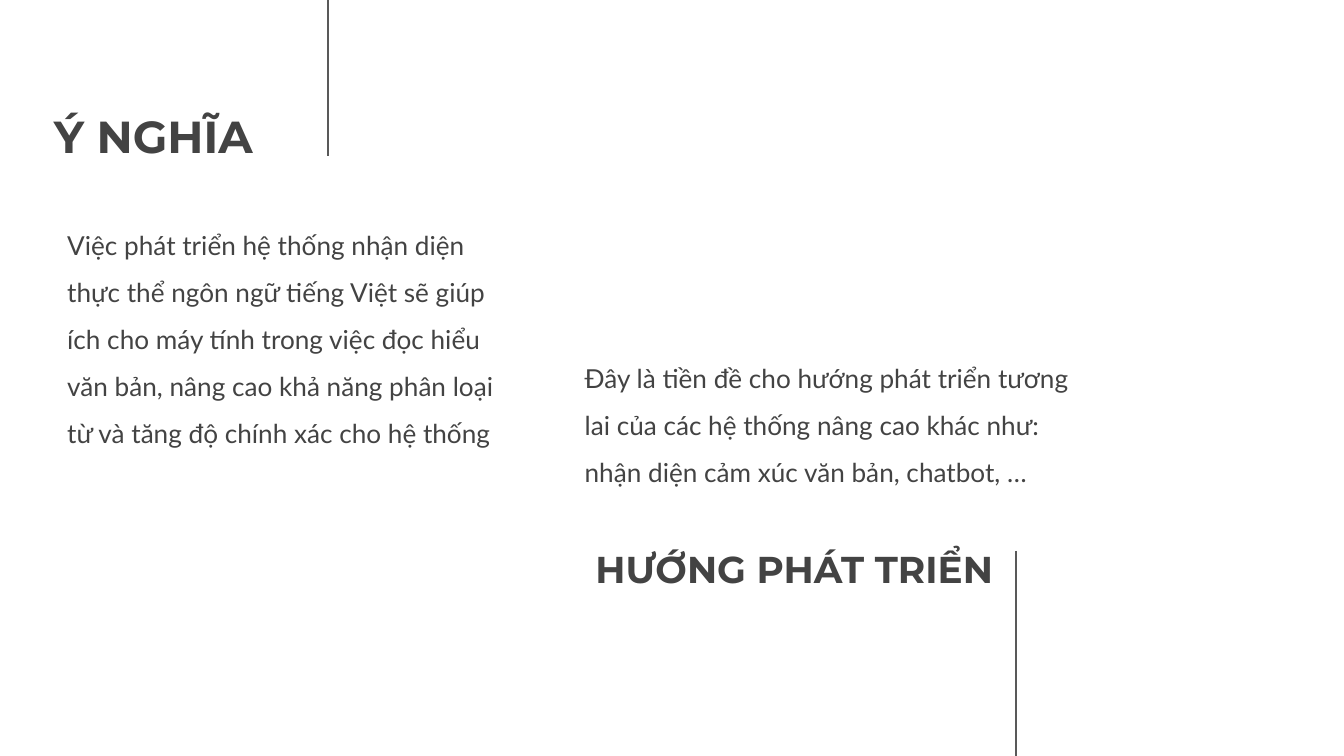
from lxml import etree
from pptx import Presentation
from pptx.dml.color import RGBColor
from pptx.enum.shapes import MSO_CONNECTOR
from pptx.enum.text import MSO_ANCHOR, MSO_AUTO_SIZE, PP_ALIGN
from pptx.oxml.ns import qn
from pptx.util import Inches, Pt

COLORS = {"text": "434343", "rule": "595959"}
LEFT, RIGHT = PP_ALIGN.LEFT, PP_ALIGN.RIGHT
TOP, BOTTOM = MSO_ANCHOR.TOP, MSO_ANCHOR.BOTTOM
NO_FIT = MSO_AUTO_SIZE.NONE
STRAIGHT = MSO_CONNECTOR.STRAIGHT
COMPARISON_LAYOUT = 4
WIDTH = 10
HEIGHT = WIDTH * 9 / 16


def fill_placeholder(holder, box, text, font, size, anchor, align, indent=0):
    """Place a placeholder in its box and set one unbulleted paragraph."""
    holder.left, holder.top, holder.width, holder.height = map(Inches, box)
    frame = holder.text_frame
    frame.word_wrap = True
    frame.auto_size = NO_FIT
    frame.vertical_anchor = anchor
    frame.margin_left = frame.margin_right = Inches(0.1)
    frame.margin_top = frame.margin_bottom = Inches(0.1)
    frame.text = text
    para = frame.paragraphs[0]
    properties = para._p.get_or_add_pPr()
    properties.set("marL", str(Inches(indent)))
    properties.set("indent", "0")
    etree.SubElement(properties, qn("a:buNone"))
    para.alignment = align
    para.space_before = Pt(0)
    para.font.name = font
    para.font.size = Pt(size)
    para.font.color.rgb = RGBColor.from_string(COLORS["text"])
    return para


def add_heading(holder, box, text, size, align):
    para = fill_placeholder(holder, box, text, "Montserrat", size, BOTTOM, align)
    para.line_spacing = 1.0
    para.font.bold = True


def add_body(holder, box, text, indent=0):
    para = fill_placeholder(holder, box, text, "Lato", 14, TOP, LEFT, indent)
    para.line_spacing = 1.5


def add_vertical_rule(page, x, top, bottom):
    rule = page.shapes.add_connector(
        STRAIGHT, Inches(x), Inches(top), Inches(x), Inches(bottom))
    rule.line.color.rgb = RGBColor.from_string(COLORS["rule"])
    rule.line.width = Pt(0.75)
    etree.SubElement(rule._element.spPr, qn("a:effectLst"))


def add_meaning(page, heading, body, left, top):
    add_heading(heading, (left, top, 1.96, 0.47), "Ý NGHĨA", 24, LEFT)
    add_body(body, (left + 0.1, top + 0.65, 3.5, 2.84),
             "Việc phát triển hệ thống nhận diện thực thể ngôn ngữ tiếng Việt "
             "sẽ giúp ích cho máy tính trong việc đọc hiểu văn bản, nâng cao "
             "khả năng phân loại từ và tăng độ chính xác cho hệ thống")
    add_vertical_rule(page, left + 2.14, 0, top + 0.32)


def add_direction(page, heading, body, left, top):
    add_heading(heading, (left, top + 1.55, 4.1, 0.47),
                "HƯỚNG PHÁT TRIỂN", 20, RIGHT)
    add_body(body, (left + 0.36, top, 4.51, 1.1),
             "Đây là tiền đề cho hướng phát triển tương lai của các hệ thống "
             "nâng cao khác như: nhận diện cảm xúc văn bản, chatbot, …",
             indent=0.5)
    add_vertical_rule(page, left + 4.17, top + 1.62, HEIGHT)


def main():
    deck = Presentation()
    deck.slide_width, deck.slide_height = Inches(WIDTH), Inches(HEIGHT)
    page = deck.slides.add_slide(deck.slide_layouts[COMPARISON_LAYOUT])
    title, unused, left_body, right_heading, right_body = page.placeholders
    unused._element.getparent().remove(unused._element)
    add_meaning(page, title, left_body, 0.3, 0.84)
    add_direction(page, right_heading, right_body, 3.39, 2.48)
    deck.save("out.pptx")


if __name__ == "__main__":
    main()
